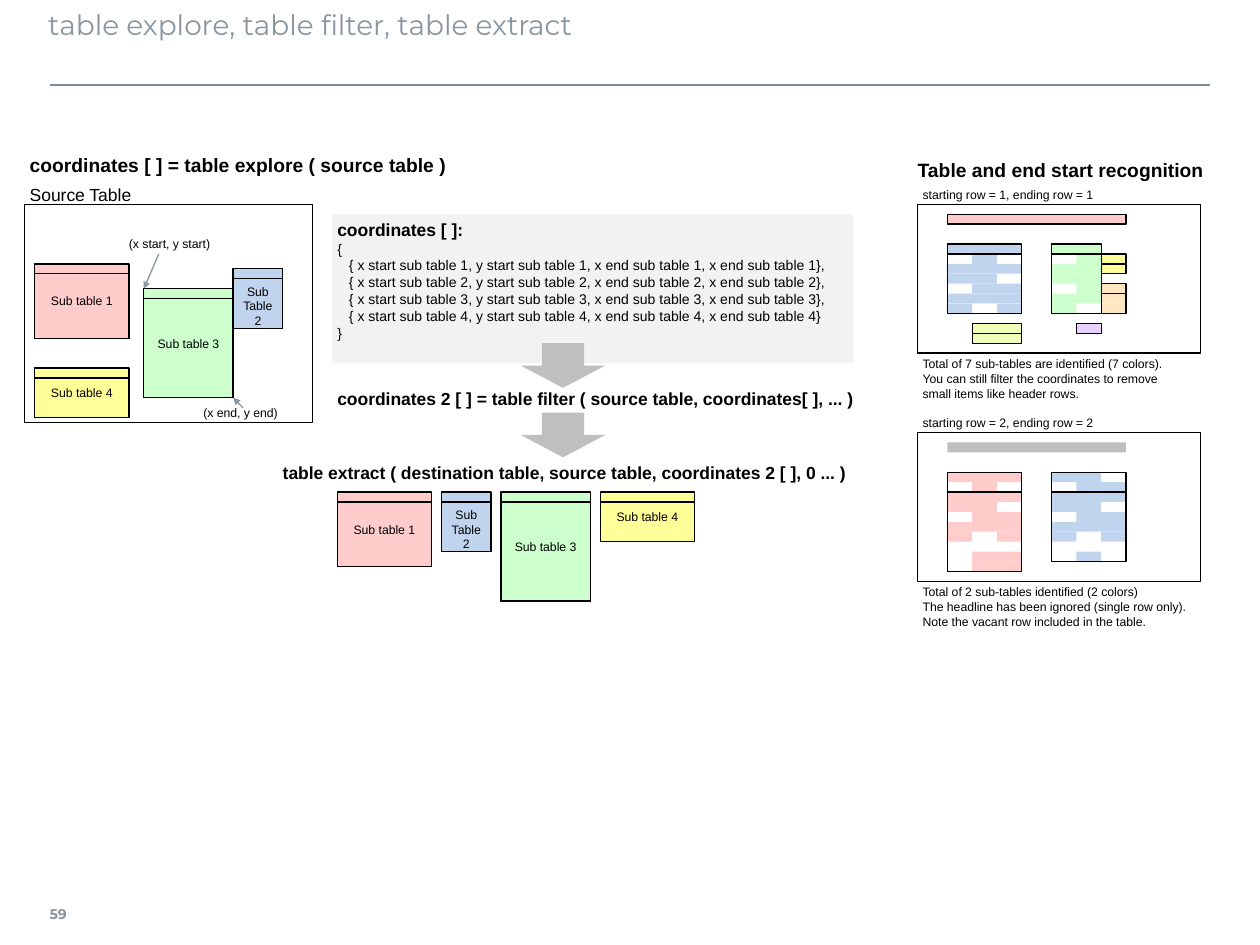
from itertools import groupby

from lxml.etree import SubElement
from pptx import Presentation
from pptx.dml.color import RGBColor
from pptx.enum.shapes import MSO_CONNECTOR, MSO_SHAPE
from pptx.enum.text import MSO_ANCHOR, PP_ALIGN
from pptx.oxml.ns import qn
from pptx.util import Pt

PX = 3600  # 254 px to the inch
rgb = RGBColor.from_string
BLACK, SLATE, GRAY = "000000", "8996A0", "BFBFBF"
PINK, BLUE, GREEN, YELLOW = "FFCCCC", "C1D4EE", "CCFFCC", "FFFF99"
COL, ROW = 50, 20

deck = Presentation()
deck.slide_width, deck.slide_height = 2540 * PX, 1905 * PX
slide = deck.slides.add_slide(deck.slide_layouts[5])
shapes = slide.shapes


def box(x, y, w, h, text="", fill=None, edge=None, size=7, bold=False,
        align=PP_ALIGN.LEFT, kind=MSO_SHAPE.RECTANGLE):
    area = [n * PX for n in (x, y, w, h)]
    if fill or edge:
        item = shapes.add_shape(kind, *area)
        item.shadow.inherit = False
        if fill:
            item.fill.solid()
            item.fill.fore_color.rgb = rgb(fill)
        else:
            item.fill.background()
        if edge:
            item.line.color.rgb = rgb(edge)
            item.line.width = Pt(0.75)
        else:
            item.line.fill.background()
    else:
        item = shapes.add_textbox(*area)
    if text:
        frame = item.text_frame
        frame.word_wrap = True
        frame.vertical_anchor = MSO_ANCHOR.MIDDLE
        frame.margin_left = frame.margin_right = 10 * PX
        frame.margin_top = frame.margin_bottom = 0
        frame.text = text
        for para in frame.paragraphs:
            para.alignment = align
            para.font.name, para.font.size = "Arial", Pt(size)
            para.font.bold = bold
            para.font.color.rgb = rgb(BLACK)
    return item


def rule(x1, y1, x2, y2, color=BLACK, width=0.75, arrow=False):
    item = shapes.add_connector(MSO_CONNECTOR.STRAIGHT,
                                x1 * PX, y1 * PX, x2 * PX, y2 * PX)
    item.line.color.rgb = rgb(color)
    item.line.width = Pt(width)
    if arrow:
        SubElement(item.line._get_or_add_ln(), qn("a:tailEnd"),
                   type="triangle", w="sm", len="sm")
    SubElement(item._element.spPr, qn("a:effectLst"))
    return item


# Title, rule and page number
title = shapes.title
title.left, title.top, title.width, title.height = (
    n * PX for n in (97, 3, 2340, 160))
frame = title.text_frame
frame.text = "table explore, table filter, table extract"
frame.vertical_anchor = MSO_ANCHOR.TOP
frame.margin_left = 0
para = frame.paragraphs[0]
para.alignment = PP_ALIGN.LEFT
para.font.name, para.font.size = "Montserrat", Pt(16)
para.font.color.rgb = rgb(SLATE)

rule(100, 172, 2440, 172, "808D97", 1)
page = box(100, 1793, 90, 100, "59", size=8, bold=True)
page.text_frame.margin_left = 0
font = page.text_frame.paragraphs[0].font
font.name, font.color.rgb = "Montserrat", rgb(SLATE)

# Headings: x, y, width, text, size, bold
for x, y, w, text, size, bold in (
    (50, 308, 900, "coordinates [ ] = table explore ( source table )",
     11, True),
    (50, 368, 300, "Source Table", 10, False),
    (670, 778, 1100, "coordinates 2 [ ] = table filter "
     "( source table, coordinates[ ], ... )", 10, True),
    (560, 928, 1200, "table extract ( destination table, source table, "
     "coordinates 2 [ ], 0 ... )", 10, True),
    (1840, 318, 640, "Table and end start recognition", 11, True),
):
    box(x, y, w, 50, text, size=size, bold=bold)

# Coordinates listing
names = ("x start", "y start", "x end", "x end")
rows = ["   { " + ", ".join(f"{name} sub table {n}" for name in names) + "}"
        for n in range(1, 5)]
code = "coordinates [ ]:\n{\n" + ",\n".join(rows) + "\n}"
panel = box(670, 432, 1050, 300, code, "F2F2F2", size=8)
frame = panel.text_frame
frame.vertical_anchor = MSO_ANCHOR.TOP
frame.margin_top, frame.margin_right = 10 * PX, 0
font = frame.paragraphs[0].font
font.size, font.bold = Pt(10), True

for y in (692, 832):
    box(1050, y, 170, 90, fill=GRAY, kind=MSO_SHAPE.DOWN_ARROW)

# Sub tables, in the source table and then extracted in a row
box(50, 412, 580, 440, edge=BLACK)
left = 680
for x, y, w, h, text, fill in (
    (70, 532, 190, 150, "Sub table 1", PINK),
    (470, 542, 100, 120, "Sub\nTable\n2", BLUE),
    (290, 582, 180, 220, "Sub table 3", GREEN),
    (70, 742, 190, 100, "Sub table 4", YELLOW),
):
    for x, y in ((x, y), (left, 992)):
        part = box(x, y, w, h, text, fill, BLACK, align=PP_ALIGN.CENTER)
        if "\n" in text:  # keeps the words below the header row
            part.text_frame.margin_top = 30 * PX
        box(x, y + ROW, w, h - ROW, edge=BLACK)
    left += w + 20

# Corner labels
box(250, 472, 230, 40, "(x start, y start)")
box(400, 812, 180, 40, "(x end, y end)")
rule(320, 512, 290, 582, SLATE, arrow=True)
rule(490, 822, 470, 802, SLATE, arrow=True)

# Recognition frames with captions
for y, n, note in (
    (412, 1, "Total of 7 sub-tables are identified (7 colors).\n"
     "You can still filter the coordinates to remove\n"
     "small items like header rows."),
    (872, 2, "Total of 2 sub-tables identified (2 colors)\n"
     "The headline has been ignored (single row only).\n"
     "Note the vacant row included in the table."),
):
    box(1850, y, 570, 300, edge=BLACK)
    box(1850, y - 40, 400, 40, f"starting row = {n}, ending row = {n}")
    box(1850, y + 305, 600, 92, note)
box(1910, 432, 360, ROW, fill=PINK, edge=BLACK)
box(1910, 892, 360, ROW, fill=GRAY)

# Cell patterns: one word a row, one letter a cell
tint = {"p": PINK, "b": BLUE, "g": GREEN, "y": YELLOW,
        "o": "FFE6C1", "l": "F0FFB8", "v": "E8D1FF"}
for x, y, cells in (
    (1910, 492, "bbb .b. bbb bb. .bb bbb b.b ... .ll .ll"),
    (2120, 492, "gg. .gy ggy gg. .go ggo g.o ... .v."),
    (1910, 952, "ppp .p. ppp pp. .pp ppp p.p ... .pp .pp"),
    (2120, 952, "bb. .bb bbb bb. .bb bbb b.b ... .b."),
):
    for r, word in enumerate(cells.split()):
        c = 0
        for key, run in groupby(word):
            n = len(list(run))
            if key in tint:
                box(x + c * COL, y + r * ROW, n * COL, ROW, fill=tint[key])
            c += n

# Outlines: x, y, columns, rows, header rows
for x, y, cols, rows, head in (
    (1910, 492, 3, 7, 1), (2120, 492, 2, 7, 1),
    (2220, 512, 1, 2, 1), (2220, 572, 1, 3, 1),
    (1960, 652, 2, 2, 1), (2170, 652, 1, 1, 0),
    (1910, 952, 3, 10, 2), (2120, 952, 3, 9, 2),
):
    edge = box(x, y, cols * COL, rows * ROW, edge=BLACK)
    if head:
        mid = y + head * ROW
        split = rule(x, mid, x + cols * COL, mid)
        if rows == 2 * head:
            split.begin_connect(edge, 1)
            split.end_connect(edge, 3)

deck.save("out.pptx")
